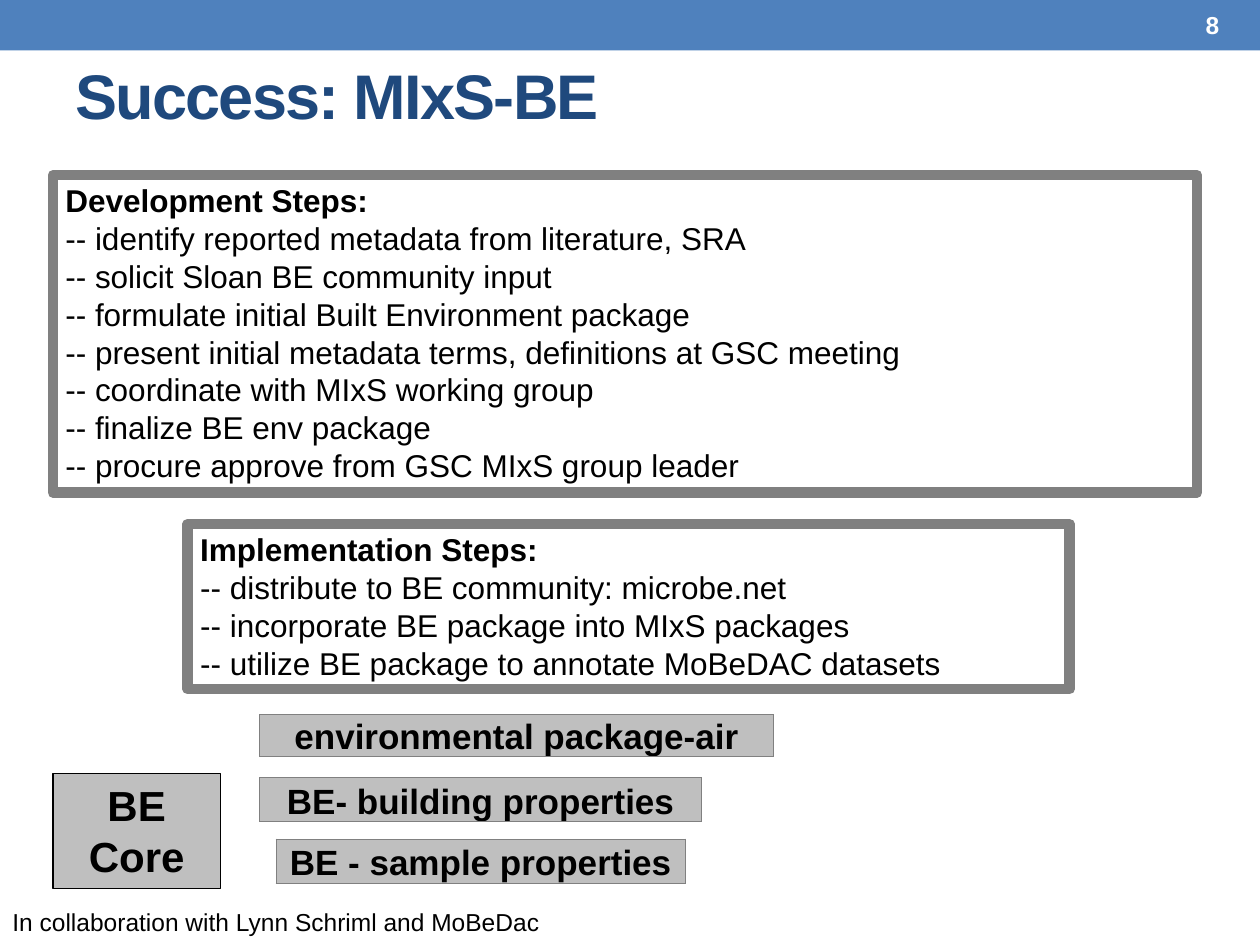
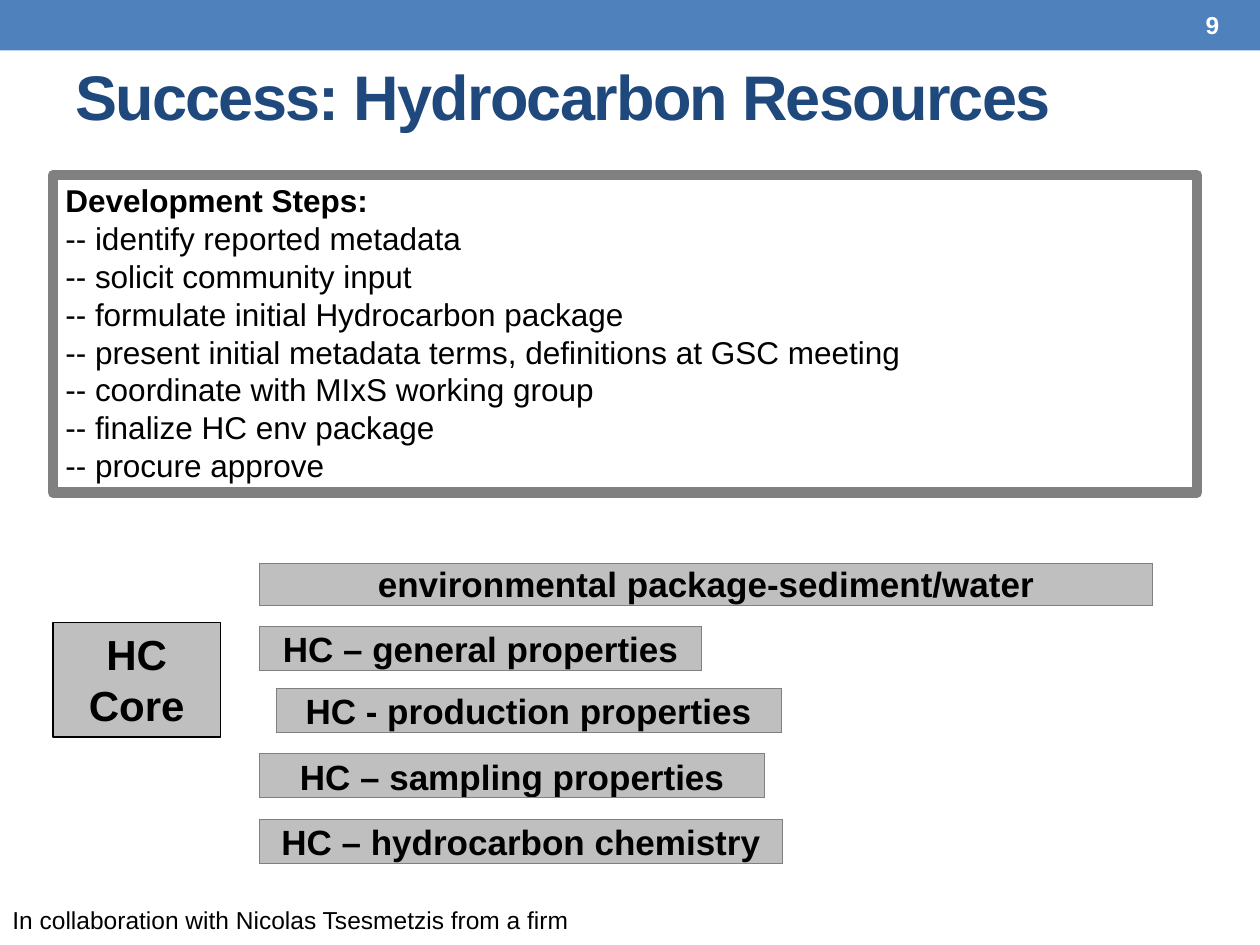
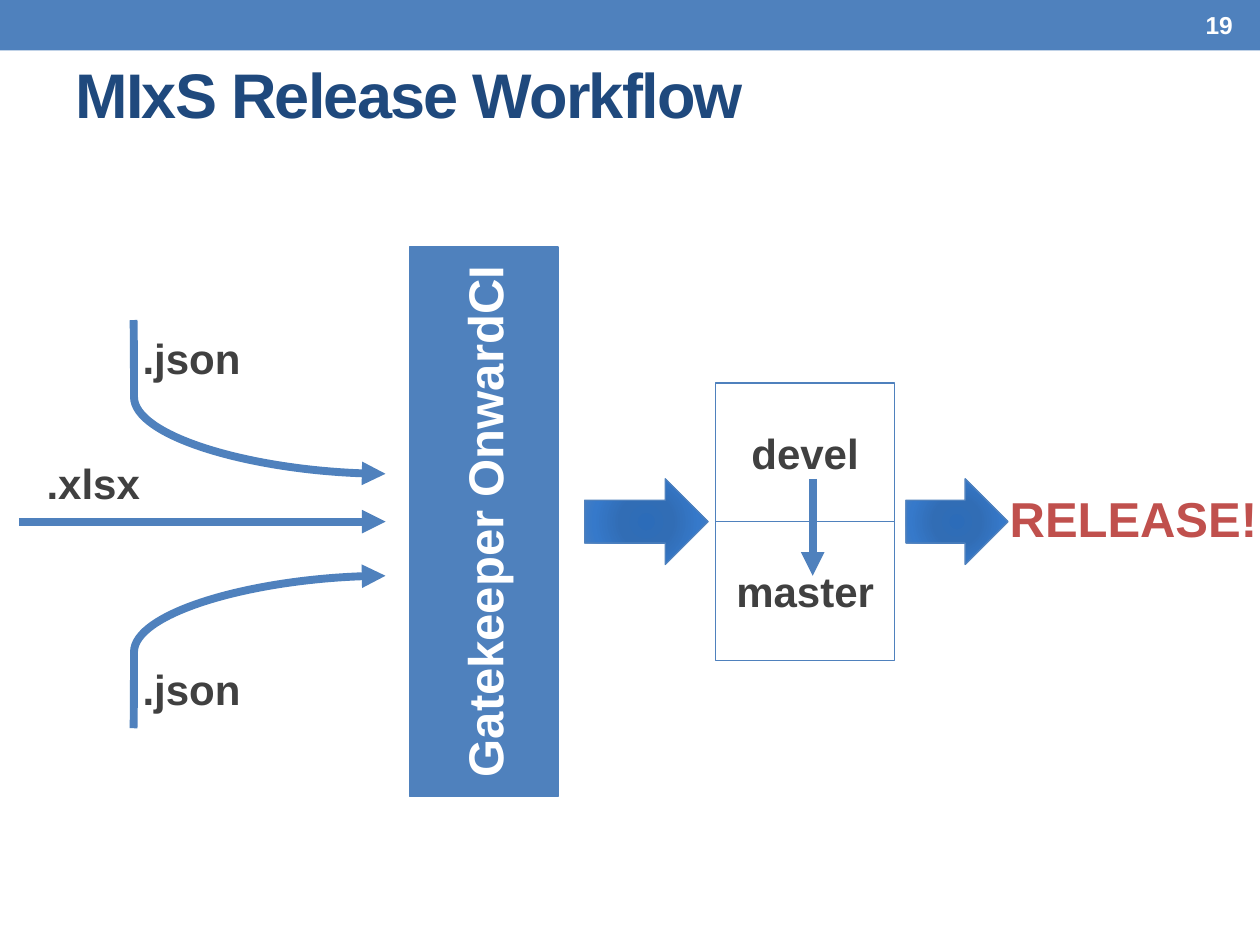
from lxml.etree import SubElement
from pptx import Presentation
from pptx.dml.color import RGBColor
from pptx.enum.shapes import MSO_CONNECTOR as Link, MSO_SHAPE as Preset
from pptx.enum.text import MSO_ANCHOR as Anchor, PP_ALIGN as Align
from pptx.oxml.ns import qn
from pptx.util import Inches, Pt

BLUE = RGBColor(0x4F, 0x81, 0xBD)
NAVY = RGBColor(0x1F, 0x49, 0x7D)
RED = RGBColor(0xC0, 0x50, 0x4D)
BLACK = RGBColor(0x00, 0x00, 0x00)
WHITE = RGBColor(0xFF, 0xFF, 0xFF)
CHARCOAL = RGBColor(0x40, 0x40, 0x40)
GRAY = RGBColor(0x80, 0x80, 0x80)
SILVER = RGBColor(0xBF, 0xBF, 0xBF)
ARROW_STOPS = [(0, RGBColor(0x2C, 0x6C, 0xB9)), (34, RGBColor(0x31, 0x6D, 0xB5)),
               (70, RGBColor(0x36, 0x79, 0xCA)), (100, BLUE)]
FONT = "Arial"

PACKAGE_SLIDES = [
    {
        "title": "Success: MIxS-BE", "number": 8, "title_top": 0.21,
        "steps": [
            ((0.42, 1.39, 9.08, 2.52), "Development Steps:", [
                "identify reported metadata from literature, SRA",
                "solicit Sloan BE community input",
                "formulate initial Built Environment package",
                "present initial metadata terms, definitions at GSC meeting",
                "coordinate with MIxS working group",
                "finalize BE env package",
                "procure approve from GSC MIxS group leader"]),
            ((1.49, 4.16, 7, 1.31), "Implementation Steps:", [
                "distribute to BE community: microbe.net",
                "incorporate BE package into MIxS packages",
                "utilize BE package to annotate MoBeDAC datasets"]),
        ],
        "core": ["BE Core"], "core_top": 6.14,
        "packages": [
            ((2.06, 5.67, 4.08, 0.33), "environmental package-air"),
            ((2.06, 6.17, 3.51, 0.35), "BE- building properties"),
            ((2.19, 6.66, 3.25, 0.35), "BE - sample properties")],
        "credit": "In collaboration with Lynn Schriml and MoBeDac", "credit_top": 7.15,
    },
    {
        "title": "Success: Hydrocarbon Resources", "number": 9, "title_top": 0.22,
        "steps": [
            ((0.42, 1.39, 9.08, 2.52), "Development Steps:", [
                "identify reported metadata",
                "solicit community input",
                "formulate initial Hydrocarbon package",
                "present initial metadata terms, definitions at GSC meeting",
                "coordinate with MIxS working group",
                "finalize HC env package",
                "procure approve"]),
        ],
        "core": ["HC", "Core"], "core_top": 4.94,
        "packages": [
            ((2.06, 4.47, 7.09, 0.33), "environmental package-sediment/water"),
            ((2.06, 4.97, 3.51, 0.35), "HC – general properties"),
            ((2.19, 5.46, 4.01, 0.35), "HC - production properties"),
            ((2.06, 5.98, 4.01, 0.35), "HC – sampling properties"),
            ((2.06, 6.5, 4.15, 0.35), "HC – hydrocarbon chemistry")],
        "credit": "In collaboration with Nicolas Tsesmetzis from a firm", "credit_top": 7.13,
    },
]

BRANCHES = [("devel", 3.04), ("master", 4.14)]
JSON_TOPS = [2.54, 5.17]
FLOWS = [
    (Link.CURVE, (1.06, 2.54), (3.06, 3.76)),
    (Link.STRAIGHT, (0.15, 4.14), (3.06, 4.14)),
    (Link.CURVE, (1.06, 5.78), (3.06, 4.57)),
    (Link.STRAIGHT, (6.45, 3.8), (6.45, 4.57)),
]
BLOCK_ARROWS = [(4.64, 3.8, 0.98, 0.68), (7.19, 3.8, 0.81, 0.68)]


def inches(values):
    return [Inches(value) for value in values]


def write(frame, lines, size, color, bold=True, align=Align.LEFT, anchor=Anchor.TOP):
    frame.word_wrap = True
    frame.vertical_anchor = anchor
    frame.text = "\n".join(lines)
    for para in frame.paragraphs:
        para.alignment = align
        para.font.name = FONT
        para.font.size = Pt(size)
        para.font.bold = bold
        para.font.color.rgb = color


def add_text(page, place, text, size, color, **style):
    box = page.shapes.add_textbox(*inches(place))
    write(box.text_frame, [text], size, color, **style)
    return box


def add_box(page, place, fill, line=None, width=0.75, preset=Preset.RECTANGLE):
    box = page.shapes.add_shape(preset, *inches(place))
    box.shadow.inherit = False
    box.fill.solid()
    box.fill.fore_color.rgb = fill
    if line is None:
        box.line.fill.background()
    else:
        box.line.color.rgb = line
        box.line.width = Pt(width)
    return box


def start_page(deck, title, number, title_top):
    page = deck.slides.add_slide(deck.slide_layouts[6])
    add_box(page, (0, 0, 10, 0.4), BLUE)
    heading = add_text(page, (0.5, title_top, 9, 1.08), title, 36, NAVY, anchor=Anchor.MIDDLE)
    for span in heading.text_frame.paragraphs[0].runs:
        span.font._element.set("spc", "-100")
    add_text(page, (9.47, 0.02, 1.17, 0.36), str(number), 14, WHITE, anchor=Anchor.MIDDLE)
    return page


def add_steps(page, place, heading, steps):
    box = add_box(page, place, WHITE, GRAY, 6)
    write(box.text_frame, [heading] + [f"-- {step}" for step in steps], 18, BLACK, bold=False)
    box.text_frame.paragraphs[0].font.bold = True


def add_solid(parent, color):
    SubElement(SubElement(parent, qn("a:solidFill")), qn("a:srgbClr"), val=str(color))


def add_package(page, place, name):
    table = page.shapes.add_table(1, 1, *inches(place)).table
    cell = table.cell(0, 0)
    cell.margin_left = cell.margin_right = cell.margin_top = cell.margin_bottom = 0
    write(cell.text_frame, [name], 20, BLACK, align=Align.CENTER)
    cell.vertical_anchor = Anchor.BOTTOM
    properties = cell._tc.get_or_add_tcPr()
    for side in ("lnL", "lnR", "lnT", "lnB"):
        add_solid(SubElement(properties, qn(f"a:{side}"), w=str(Pt(0.5))), GRAY)
    cell.fill.solid()
    cell.fill.fore_color.rgb = SILVER


def add_flow(page, kind, start, end):
    flow = page.shapes.add_connector(kind, *inches(start + end))
    flow.line.color.rgb = BLUE
    flow.line.width = Pt(4.5)
    SubElement(flow.line._get_or_add_ln(), qn("a:tailEnd"), type="triangle")
    properties = flow._element.spPr
    SubElement(properties, qn("a:effectLst"))
    if kind == Link.CURVE:
        guides = properties.find(qn("a:prstGeom")).get_or_add_avLst()
        SubElement(guides, qn("a:gd"), name="adj1", fmla="val 200")


def add_block_arrow(page, place):
    arrow = add_box(page, place, BLUE, BLUE, preset=Preset.RIGHT_ARROW)
    properties = arrow._element.spPr
    solid = properties.find(qn("a:solidFill"))
    gradient = SubElement(properties, qn("a:gradFill"), rotWithShape="1")
    stops = SubElement(gradient, qn("a:gsLst"))
    for percent, color in ARROW_STOPS:
        stop = SubElement(stops, qn("a:gs"), pos=str(percent * 1000))
        SubElement(stop, qn("a:srgbClr"), val=str(color))
    center = SubElement(gradient, qn("a:path"), path="circle")
    SubElement(center, qn("a:fillToRect"), {side: "100000" for side in "ltrb"})
    properties.replace(solid, gradient)


def build_package_slide(deck, content):
    page = start_page(deck, content["title"], content["number"], content["title_top"])
    for place, heading, steps in content["steps"]:
        add_steps(page, place, heading, steps)
    core = add_box(page, (0.42, content["core_top"], 1.33, 0.91), SILVER, BLACK)
    write(core.text_frame, content["core"], 24, BLACK, align=Align.CENTER)
    for place, name in content["packages"]:
        add_package(page, place, name)
    add_text(page, (0, content["credit_top"], 5.56, 0.44), content["credit"], 14, BLACK, bold=False)


def build_workflow_slide(deck):
    page = start_page(deck, "MIxS Release Workflow", 19, 0.2)
    centered = {"align": Align.CENTER, "anchor": Anchor.MIDDLE}
    add_text(page, (0.15, 3.53, 1.18, 0.6), ".xlsx", 24, CHARCOAL, **centered)
    gatekeeper = add_box(page, (3.25, 1.96, 1.18, 4.36), BLUE, BLUE)
    write(gatekeeper.text_frame, ["Gatekeeper OnwardCI"], 28, WHITE, **centered)
    gatekeeper.text_frame._txBody.bodyPr.set("vert", "vert270")
    for name, top in BRANCHES:
        branch = add_box(page, (5.68, top, 1.42, 1.1), WHITE, BLUE)
        write(branch.text_frame, [name], 24, CHARCOAL, **centered)
    for flow in FLOWS:
        add_flow(page, *flow)
    for top in JSON_TOPS:
        add_text(page, (0.93, top, 1.18, 0.6), ".json", 24, CHARCOAL, **centered)
    for place in BLOCK_ARROWS:
        add_block_arrow(page, place)
    add_text(page, (7.9, 3.75, 2.19, 0.72), "RELEASE!", 28, RED, **centered)


def main():
    deck = Presentation()
    deck.slide_width = Inches(10)
    deck.slide_height = Inches(7.5)
    for content in PACKAGE_SLIDES:
        build_package_slide(deck, content)
    build_workflow_slide(deck)
    deck.save("out.pptx")


if __name__ == "__main__":
    main()
